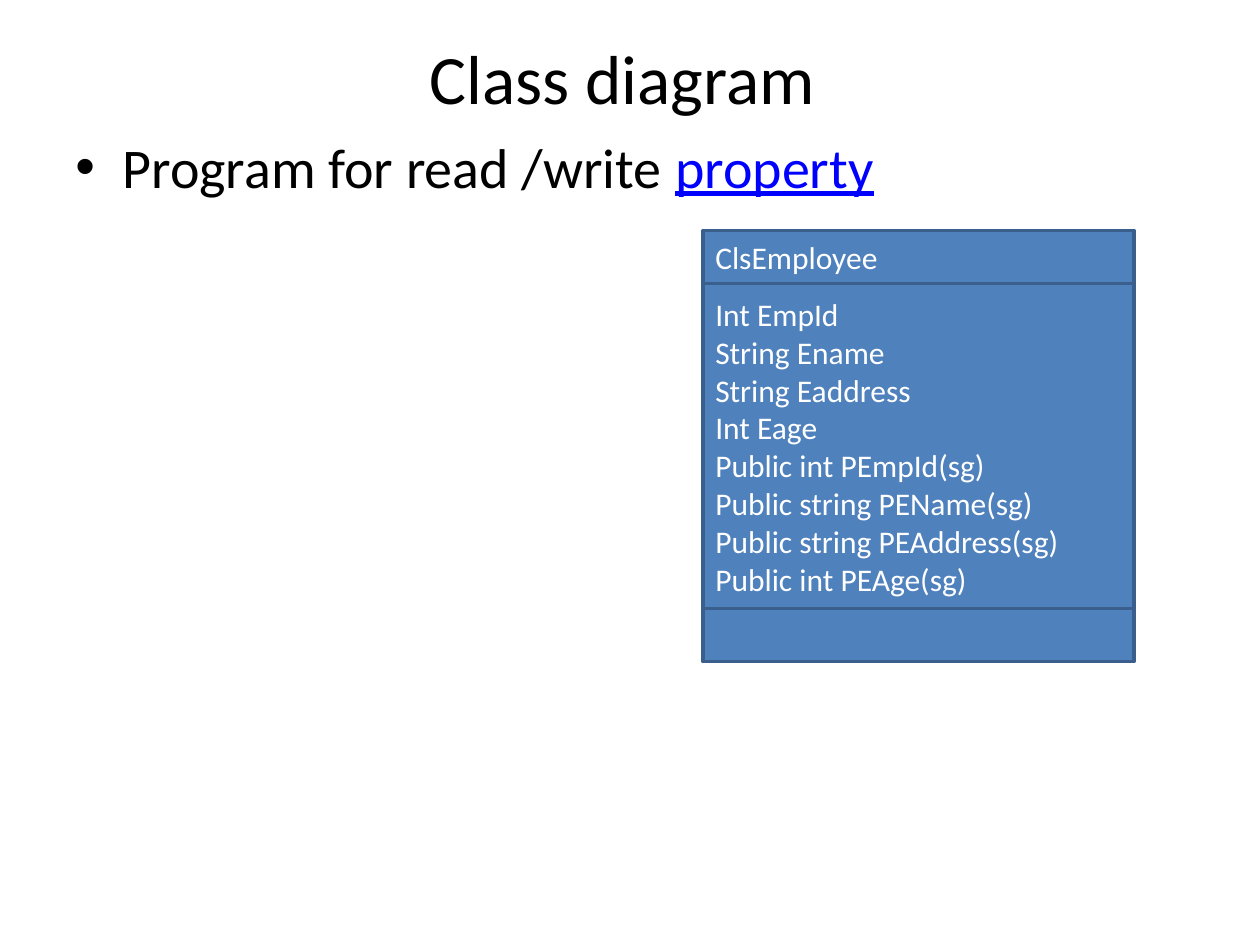
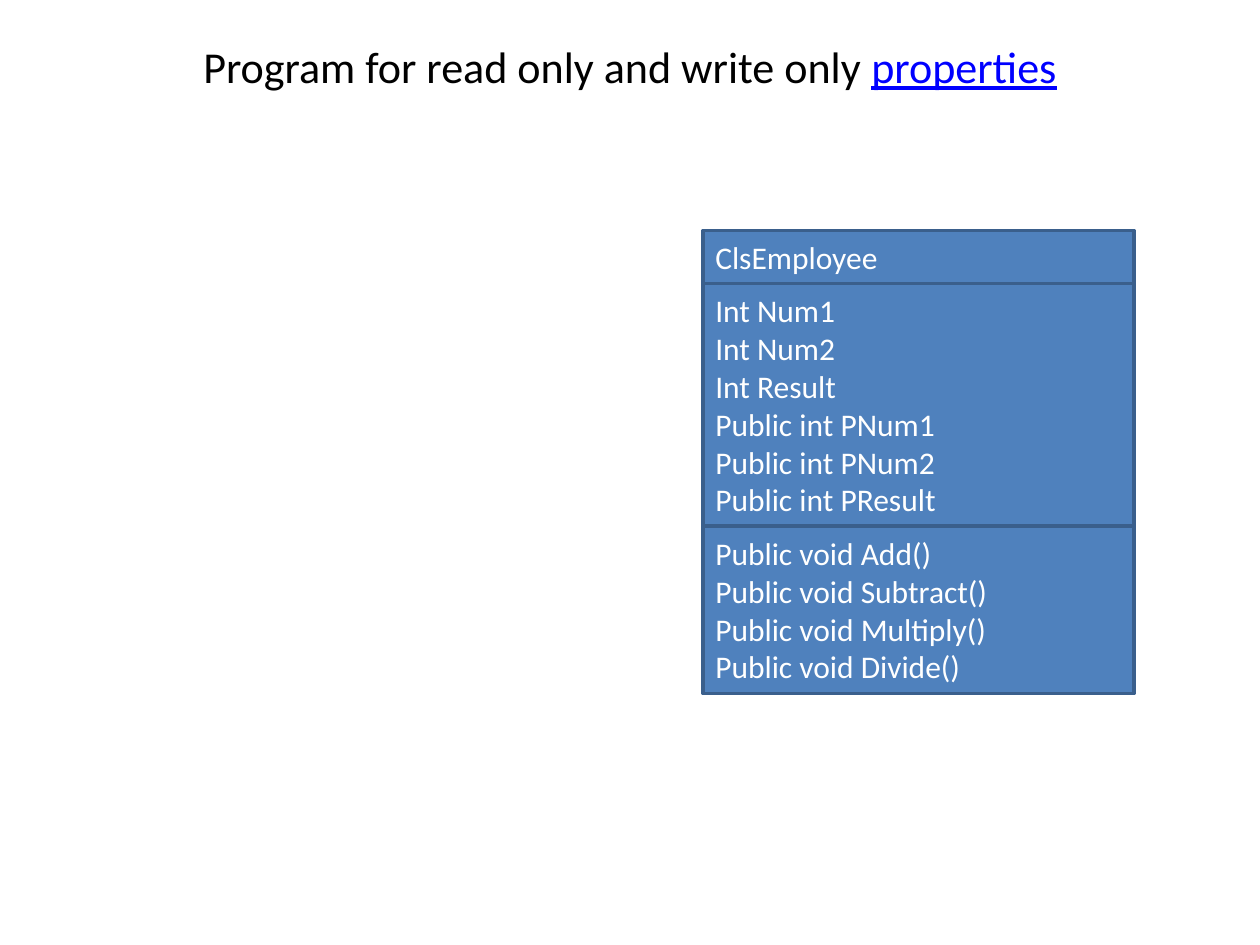
"""Build two slides that describe employee classes with class diagrams."""
from dataclasses import dataclass

from lxml.etree import SubElement
from pptx import Presentation
from pptx.dml.color import RGBColor
from pptx.enum.shapes import MSO_SHAPE
from pptx.enum.text import MSO_ANCHOR, PP_ALIGN
from pptx.oxml.ns import qn
from pptx.util import Cm, Pt

SLIDES = [
    {
        "title": [("Class diagram ", "plain")],
        "title_size": 39.6,
        "title_height": 1.57,
        "bullet": [("Program for read /write ", "plain"), ("property", "link")],
        "compartments": [
            (1.07, ["ClsEmployee"]),
            (6.55, [
                "Int EmpId",
                "String Ename",
                "String Eaddress",
                "Int Eage",
                "Public int PEmpId(sg)",
                "Public string PEName(sg)",
                "Public string PEAddress(sg)",
                "Public int PEAge(sg)",
            ]),
            (1.07, []),
        ],
    },
    {
        "title": [("Program for read only and write only ", "plain"), ("properties", "link")],
        "title_size": 25.2,
        "title_height": 1.14,
        "bullet": [],
        "compartments": [
            (1.07, ["ClsEmployee"]),
            (4.88, [
                "Int Num1",
                "Int Num2",
                "Int Result",
                "Public int PNum1",
                "Public int PNum2",
                "Public int PResult",
            ]),
            (3.38, [
                "Public void Add()",
                "Public void Subtract()",
                "Public void Multiply()",
                "Public void Divide()",
            ]),
        ],
    },
]


@dataclass(frozen=True)
class Theme:
    font: str = "Calibri"
    plain: str = "000000"
    link: str = "0000FF"
    member: str = "FFFFFF"
    fill: str = "4F81BD"
    line: str = "3A5F8C"
    line_width: float = 2
    bullet_size: float = 32
    member_size: float = 18


THEME = Theme()
MARGIN, CONTENT_WIDTH = 1.27, 22.86
TITLE_TOP = 0.76
BULLET_TOP, BULLET_HEIGHT, BULLET_INDENT = 2.54, 14.48, 0.95
CLASS_LEFT, CLASS_TOP, CLASS_WIDTH = 14.17, 4.65, 8.69


def apply_formats(target, formats):
    for attribute, value in formats.items():
        setattr(target, attribute, value)


def write_runs(paragraph, runs, size):
    for wording, role in runs:
        run = paragraph.add_run()
        run.text = wording
        apply_formats(run.font, {"name": THEME.font, "size": Pt(size)})
        run.font.color.rgb = RGBColor.from_string(getattr(THEME, role))
        if role == "link":
            run.font.underline = True


def add_heading(slide, top, height, runs, size, anchor):
    heading = slide.shapes.add_textbox(Cm(MARGIN), Cm(top), Cm(CONTENT_WIDTH), Cm(height))
    apply_formats(heading.text_frame, {"word_wrap": True, "vertical_anchor": anchor})
    paragraph = heading.text_frame.paragraphs[0]
    write_runs(paragraph, runs, size)
    return paragraph


def add_bullet(paragraph):
    properties = paragraph._p.get_or_add_pPr()
    properties.set("marL", str(Cm(BULLET_INDENT)))
    properties.set("indent", str(-Cm(BULLET_INDENT)))
    SubElement(properties, qn("a:buFont"), typeface="Arial")
    SubElement(properties, qn("a:buChar"), char="•")


def add_compartment(slide, top, height, members):
    compartment = slide.shapes.add_shape(
        MSO_SHAPE.RECTANGLE, Cm(CLASS_LEFT), Cm(top), Cm(CLASS_WIDTH), Cm(height))
    compartment.shadow.inherit = False
    compartment.fill.solid()
    compartment.fill.fore_color.rgb = RGBColor.from_string(THEME.fill)
    compartment.line.color.rgb = RGBColor.from_string(THEME.line)
    compartment.line.width = Pt(THEME.line_width)
    frame = compartment.text_frame
    apply_formats(frame, {"word_wrap": True, "vertical_anchor": MSO_ANCHOR.MIDDLE})
    for index, member in enumerate(members):
        paragraph = frame.add_paragraph() if index else frame.paragraphs[0]
        paragraph.alignment = PP_ALIGN.LEFT
        write_runs(paragraph, [(member, "member")], THEME.member_size)


def add_class_diagram(slide, compartments):
    top = CLASS_TOP
    for height, members in compartments:
        add_compartment(slide, top, height, members)
        top += height


def main():
    deck = Presentation()
    apply_formats(deck, {"slide_width": Cm(25.4), "slide_height": Cm(19.05)})
    for content in SLIDES:
        slide = deck.slides.add_slide(deck.slide_layouts[6])
        title = add_heading(slide, TITLE_TOP, content["title_height"], content["title"],
                            content["title_size"], MSO_ANCHOR.MIDDLE)
        title.alignment = PP_ALIGN.CENTER
        if content["bullet"]:
            add_bullet(add_heading(slide, BULLET_TOP, BULLET_HEIGHT, content["bullet"],
                                   THEME.bullet_size, MSO_ANCHOR.TOP))
        add_class_diagram(slide, content["compartments"])
    deck.save("out.pptx")


if __name__ == "__main__":
    main()
